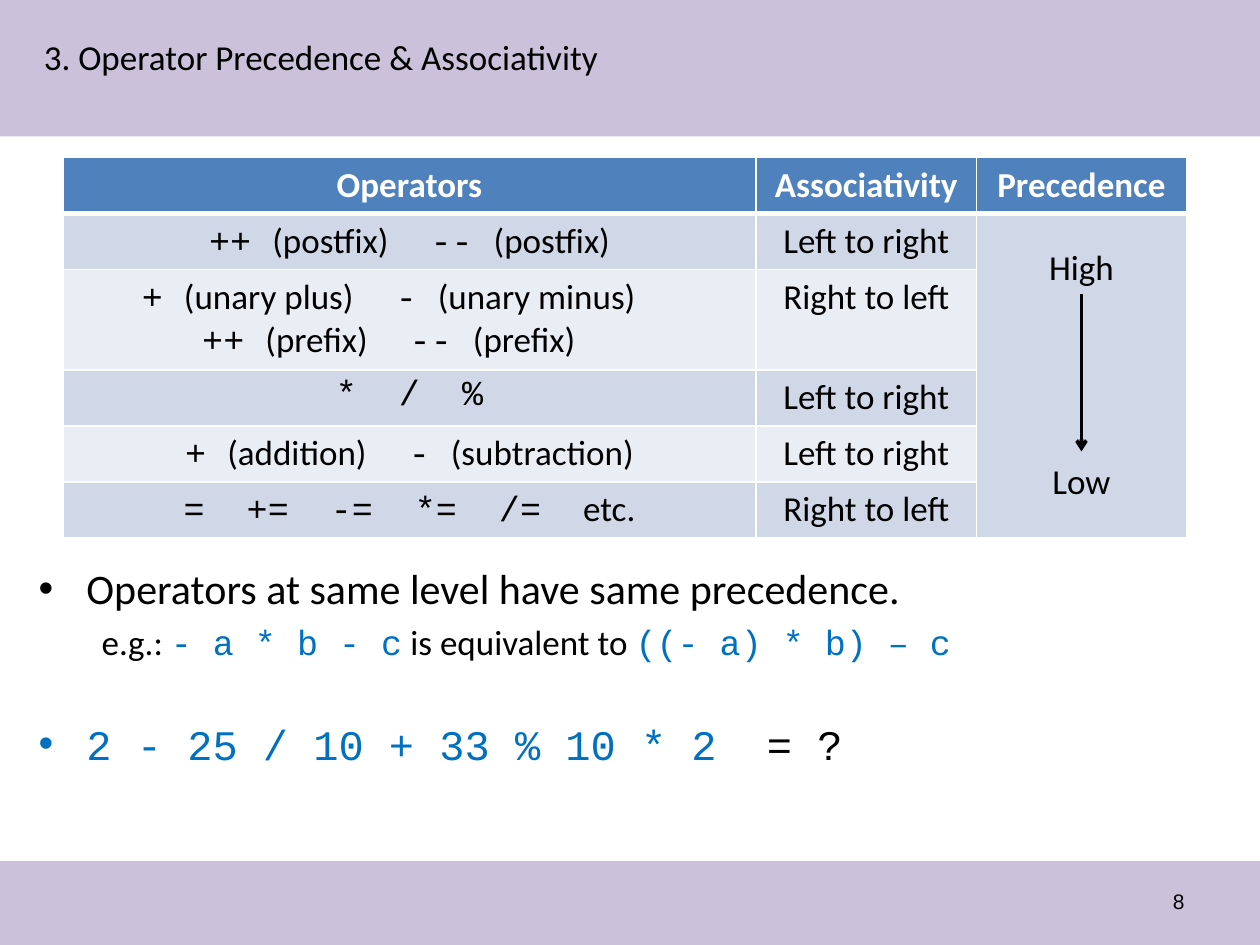
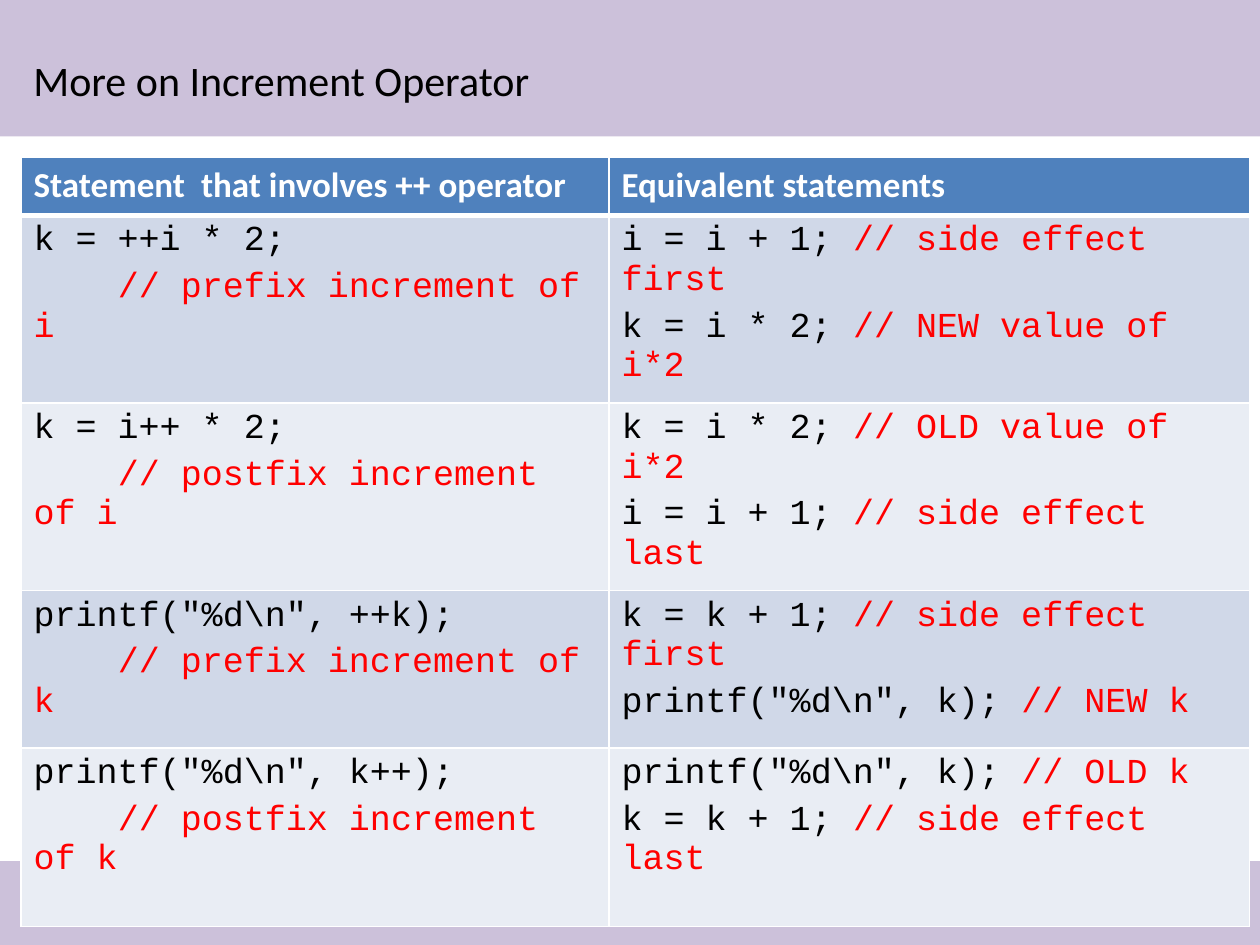
from dataclasses import dataclass

from lxml import etree
from pptx import Presentation
from pptx import util as u
from pptx.dml.color import RGBColor
from pptx.enum import shapes, text
from pptx.oxml import ns

WIDTH, HEIGHT = u.Inches(10), u.Inches(7.5)
GRID_COLUMNS, GRID_ROWS = 120, 90


@dataclass(frozen=True)
class Theme:
    band: str = "CCC1DA"
    header: str = "4F81BD"
    stripes: tuple = ("D0D8E8", "E9EDF4")
    ink: str = "000000"
    white: str = "FFFFFF"
    code: str = "0070C0"
    comment: str = "FF0000"
    sans: str = "Calibri"
    mono: str = "Courier New"
    number_font: str = "Arial"
    large: int = 24
    normal: int = 20
    small: int = 12
    line_gap: float = 4


THEME = Theme()
CENTER = text.PP_ALIGN.CENTER
MIDDLE = text.MSO_ANCHOR.MIDDLE


def across(columns):
    return round(WIDTH * columns / GRID_COLUMNS)


def down(rows):
    return round(HEIGHT * rows / GRID_ROWS)


def place(left, top, width, height):
    return across(left), down(top), across(width), down(height)


def rgb(value):
    return RGBColor.from_string(value)


def add_xml(parent, tag, **attributes):
    return etree.SubElement(parent, ns.qn(tag), attributes)


def code(words, **style):
    return words, {"font": THEME.mono, **style}


def gap(size, **style):
    return " ", {"spread": size, **style}


def write(paragraph, content, size=THEME.normal, font=THEME.sans,
          color=THEME.ink, bold=False, align=None, before=0, indent=0,
          right=0, bullet=False):
    properties = paragraph._p.get_or_add_pPr()
    if indent:
        properties.set("marL", str(u.Inches(indent)))
        properties.set("indent", str(u.Inches(-indent if bullet else 0)))
    if right:
        properties.set("marR", str(u.Inches(right)))
    if bullet:
        add_xml(properties, "a:buFont", typeface="Arial")
        add_xml(properties, "a:buChar", char="•")
    paragraph.alignment = align
    if before:
        paragraph.space_before = u.Pt(before)
    for part in [content] if isinstance(content, str) else content:
        words, style = (part, {}) if isinstance(part, str) else part
        run = paragraph.add_run()
        run.text = words
        run.font.name = style.get("font", font)
        run.font.size = u.Pt(size)
        run.font.bold = bold
        run.font.color.rgb = rgb(style.get("color", color))
        if "spread" in style:
            run.font._element.set("spc", str(round(style["spread"] * 100)))


def write_lines(frame, lines):
    for index, (content, style) in enumerate(lines):
        paragraph = frame.add_paragraph() if index else frame.paragraphs[0]
        write(paragraph, content, **style)


def add_text(slide, area, lines, anchor=MIDDLE):
    frame = slide.shapes.add_textbox(*place(*area)).text_frame
    frame.word_wrap = True
    frame.vertical_anchor = anchor
    write_lines(frame, lines)


def add_band(slide, top, height):
    band = slide.shapes.add_shape(
        shapes.MSO_SHAPE.RECTANGLE, *place(0, top, GRID_COLUMNS, height))
    band.shadow.inherit = False
    band.fill.solid()
    band.fill.fore_color.rgb = rgb(THEME.band)
    band.line.fill.background()


def add_page(deck, title, title_area, title_size):
    slide = deck.slides.add_slide(deck.slide_layouts[6])
    add_band(slide, 0, 13)
    add_band(slide, 82, 8)
    add_text(slide, title_area, [(title, {"size": title_size})])
    return slide


def paint_cell(cell, fill, bottom):
    cell.fill.solid()
    cell.fill.fore_color.rgb = rgb(fill)
    properties = cell._tc.get_or_add_tcPr()
    for index, side in enumerate("LRTB"):
        weight = bottom if side == "B" else 1
        border = add_xml(properties, f"a:ln{side}", w=str(u.Pt(weight)))
        add_xml(add_xml(border, "a:solidFill"), "a:srgbClr", val=THEME.white)
        properties.insert(index, border)


def add_grid(slide, left, top, widths, heights):
    table = slide.shapes.add_table(
        len(heights), len(widths),
        *place(left, top, sum(widths), sum(heights))).table
    for column, width in zip(table.columns, widths):
        column.width = across(width)
    for index, (row, height) in enumerate(zip(table.rows, heights)):
        row.height = down(height)
        fill = THEME.stripes[(index - 1) % 2] if index else THEME.header
        for cell in row.cells:
            paint_cell(cell, fill, 1 if index else 3)
    return table


def write_header(table, headings, align=None):
    for cell, heading in zip(table.rows[0].cells, headings):
        write_lines(cell.text_frame, [
            (heading, {"color": THEME.white, "bold": True, "align": align})])


def add_arrow(slide, start, end):
    arrow = slide.shapes.add_connector(
        shapes.MSO_CONNECTOR.STRAIGHT, across(start[0]), down(start[1]),
        across(end[0]), down(end[1]))
    arrow.line.color.rgb = rgb(THEME.ink)
    arrow.line.width = u.Pt(2)
    add_xml(arrow.line._get_or_add_ln(), "a:tailEnd", type="arrow")
    add_xml(arrow._element.spPr, "a:effectLst")


def operator_line(*operators):
    runs = []
    for symbol, meaning in operators:
        if runs:
            runs.append(gap(12, font=THEME.mono))
        if symbol:
            runs.append(code(symbol + " " if meaning else symbol))
        if meaning:
            runs.append(meaning)
    return runs


def statement_lines(*statements):
    lines = []
    for statement in statements:
        action, slashes, remark = statement.partition("//")
        runs = [code(action)]
        if slashes:
            runs.append(code(slashes + remark, color=THEME.comment))
        lines.append((runs, {"before": THEME.line_gap if lines else 0}))
    return lines


def build_precedence(deck):
    slide = add_page(deck, "3. Operator Precedence & Associativity",
                     (3, 3.6, 69.6, 3.6), THEME.normal)
    add_text(slide, (86, 83.4, 28, 4.8), [("8", {
        "size": THEME.small, "font": THEME.number_font,
        "align": text.PP_ALIGN.RIGHT})])

    levels = [
        ([operator_line(("++", "(postfix)"), ("--", "(postfix)"))], "Left"),
        ([operator_line(("+", "(unary plus)"), ("-", "(unary minus)")),
          operator_line(("++", "(prefix)"), ("--", "(prefix)"))], "Right"),
        ([operator_line(*((symbol, "") for symbol in "*/%"))], "Left"),
        ([operator_line(("+", "(addition)"), ("-", "(subtraction)"))], "Left"),
        ([operator_line(*((symbol, "") for symbol in
                          ("=", "+=", "-=", "*=", "/=")), ("", "etc."))],
         "Right"),
    ]
    single, double = 5.33, 9.6
    heights = [single] + [single * (len(lines) == 1) + double * (len(lines) > 1)
                          for lines, _ in levels]
    table = add_grid(slide, 6, 15, [66, 21, 20], heights)
    write_header(table, ["Operators", "Associativity", "Precedence"], CENTER)
    opposite = {"Left": "right", "Right": "left"}
    for row, (lines, origin) in enumerate(levels, 1):
        write_lines(table.cell(row, 0).text_frame, [
            (line, {"align": CENTER,
                    "right": 0.33 if len(lines) > 1 and not index else 0})
            for index, line in enumerate(lines)])
        write_lines(table.cell(row, 1).text_frame, [
            (f"{origin} to {opposite[origin]}", {"align": CENTER})])
    ranking = table.cell(1, 2)
    ranking.merge(table.cell(len(levels), 2))
    ranking.vertical_anchor = MIDDLE
    write_lines(ranking.text_frame, [
        ("High", {"align": CENTER}),
        ("Low", {"align": CENTER, "before": 98})])
    add_arrow(slide, (103, 28), (103, 43))

    point = {"size": THEME.large, "indent": 0.38, "bullet": True}
    add_text(slide, (2.5, 53, 116.4, 25.8), [
        ("Operators at same level have same precedence.", point),
        (["e.g.: ", code("- a * b - c", color=THEME.code),
          " is equivalent to ", code("((- a) * b) – c", color=THEME.code)],
         {"indent": 0.5, "before": THEME.line_gap}),
        ([code("2 - 25 / 10 + 33 % 10 * 2", color=THEME.code),
          gap(14.4, font=THEME.mono), code("= ?")], {**point, "before": 32}),
    ], text.MSO_ANCHOR.TOP)


def build_increment(deck):
    slide = add_page(deck, "More on Increment Operator",
                     (2, 2.2, 116, 10.8), THEME.large)
    table = add_grid(slide, 2, 15, [56, 61], [5.5, 17, 17, 15, 17])
    write_header(table, [
        ["Statement", gap(4.5), "that involves ++ operator"],
        "Equivalent statements"])
    examples = [
        (("k = ++i * 2;", "    // prefix increment of i"),
         ("i = i + 1; // side effect first",
          "k = i * 2; // NEW value of i*2")),
        (("k = i++ * 2;", "    // postfix increment of i"),
         ("k = i * 2; // OLD value of i*2",
          "i = i + 1; // side effect last")),
        (('printf("%d\\n", ++k);', "    // prefix increment of k"),
         ("k = k + 1; // side effect first",
          'printf("%d\\n", k); // NEW k')),
        (('printf("%d\\n", k++);', "    // postfix increment of k"),
         ('printf("%d\\n", k); // OLD k',
          "k = k + 1; // side effect last")),
    ]
    for row, example in enumerate(examples, 1):
        for column, statements in enumerate(example):
            write_lines(table.cell(row, column).text_frame,
                        statement_lines(*statements))


def main():
    deck = Presentation()
    deck.slide_width, deck.slide_height = WIDTH, HEIGHT
    build_precedence(deck)
    build_increment(deck)
    deck.save("out.pptx")


if __name__ == "__main__":
    main()
